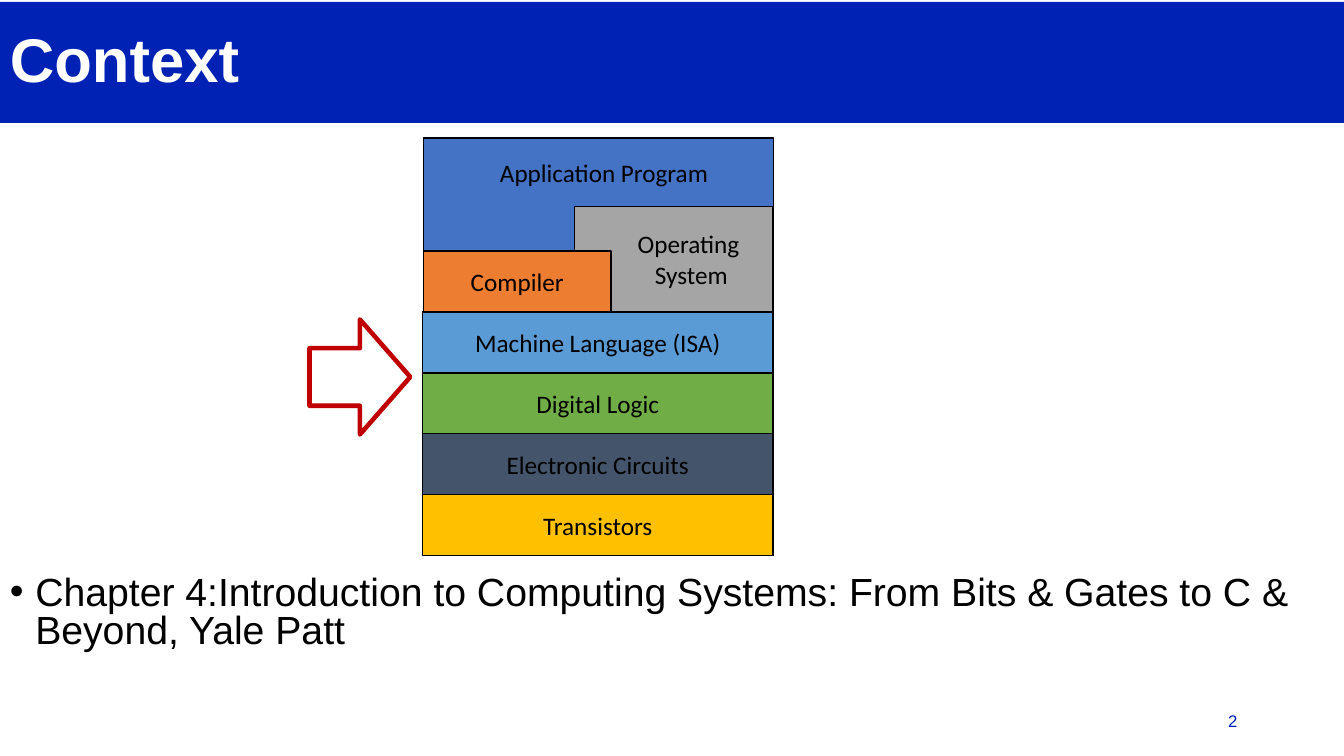
from lxml import etree
from pptx import Presentation
from pptx.dml.color import RGBColor
from pptx.enum.shapes import MSO_SHAPE
from pptx.enum.text import MSO_ANCHOR, PP_ALIGN
from pptx.oxml.ns import qn
from pptx.util import Cm, Pt

RECTANGLE, RIGHT_ARROW = MSO_SHAPE.RECTANGLE, MSO_SHAPE.RIGHT_ARROW
TOP, MIDDLE = MSO_ANCHOR.TOP, MSO_ANCHOR.MIDDLE
LEFT, CENTER, RIGHT = PP_ALIGN.LEFT, PP_ALIGN.CENTER, PP_ALIGN.RIGHT

COLORS = {
    "banner": "0022B4", "white": "FFFFFF", "black": "000000",
    "application": "4472C4", "system": "A5A5A5", "compiler": "ED7D31",
    "isa": "5B9BD5", "logic": "70AD47", "circuits": "44546A",
    "transistors": "FFC000", "arrow": "C00000",
}
LAYERS = [
    ("Machine Language (ISA)", "isa"),
    ("Digital Logic", "logic"),
    ("Electronic Circuits", "circuits"),
    ("Transistors", "transistors"),
]


def rgb(name):
    return RGBColor.from_string(COLORS[name])


def write(shape, text, size, font="Calibri", color="black", bold=False,
          align=CENTER, anchor=MIDDLE, wrap=True):
    frame = shape.text_frame
    frame.text = text
    frame.word_wrap = wrap
    frame.vertical_anchor = anchor
    for paragraph in frame.paragraphs:
        paragraph.alignment = align
        for run in paragraph.runs:
            run.font.name = font
            run.font.size = Pt(size)
            run.font.bold = bold
            run.font.color.rgb = rgb(color)
    return frame.paragraphs[0]


def add_block(shapes, box, fill=None, line=None, width=1, kind=RECTANGLE):
    """Add a preset shape; box is left, top, width, height in cm."""
    block = shapes.add_shape(kind, *map(Cm, box))
    block.shadow.inherit = False
    if fill:
        block.fill.solid()
        block.fill.fore_color.rgb = rgb(fill)
    else:
        block.fill.background()
    if line:
        block.line.color.rgb = rgb(line)
        block.line.width = Pt(width)
    else:
        block.line.fill.background()
    return block


def add_label(shapes, box, text, size, **style):
    return write(shapes.add_textbox(*map(Cm, box)), text, size, **style)


def add_banner(slide, box):
    banner = add_block(slide.shapes, box, "banner")
    title = write(banner, "Context", 44, "Arial", "white", True, LEFT)
    title.line_spacing = 0.9


def add_reference(slide, box):
    reference = add_label(
        slide.shapes, box,
        "Chapter 4:Introduction to Computing Systems: "
        "From Bits & Gates to C & Beyond, Yale Patt",
        28, font="Arial", align=LEFT, anchor=TOP)
    reference.line_spacing = 0.8
    properties = reference._p.get_or_add_pPr()
    indent = Cm(0.64)
    properties.set("marL", str(indent))
    properties.set("indent", str(-indent))
    etree.SubElement(properties, qn("a:buFont")).set("typeface", "Arial")
    etree.SubElement(properties, qn("a:buChar")).set("char", "•")


def add_stack(slide, box):
    """Draw the levels of abstraction, from programs down to transistors."""
    left, top, width, height = box
    layer = 1.535
    layers_top = top + height - len(LAYERS) * layer
    shapes = slide.shapes.add_group_shape().shapes

    add_block(shapes, (left + 0.02, top, width, height), "application", "black")
    for row, (text, fill) in enumerate(LAYERS):
        level = add_block(shapes, (left, layers_top + row * layer, width, layer),
                          fill, "black")
        write(level, text, 18)

    system_width, system_height = 5, 2.65
    add_block(shapes, (left + width - system_width, layers_top - system_height,
                       system_width, system_height), "system", "black")
    compiler = add_block(shapes, (left + 0.02, layers_top - layer, 4.73, layer),
                         "compiler", "black")
    write(compiler, "Compiler", 18)

    add_label(shapes, (left + 1.7, top + 0.36, 5.82, 1.02),
              "Application Program", 18, align=LEFT, anchor=TOP, wrap=False)
    add_label(shapes, (left + 5.15, top + 2.16, 3.25, 1.8),
              "Operating \nSystem", 18, anchor=TOP, wrap=False)


def add_pointer(slide, box):
    add_block(slide.shapes, box, line="arrow", width=3.25, kind=RIGHT_ARROW)


def add_page_number(slide, box):
    add_label(slide.shapes, box, "2 ", 12, font="Arial", color="banner", align=RIGHT)


def main():
    deck = Presentation()
    deck.slide_width, deck.slide_height = Cm(33.87), Cm(19.05)
    slide = deck.slides.add_slide(deck.slide_layouts[6])
    add_banner(slide, (0, 0.05, 33.87, 3.05))
    add_reference(slide, (0, 14.4, 33.87, 3))
    add_page_number(slide, (23.93, 17.65, 7.62, 1.02))
    add_stack(slide, (10.65, 3.48, 8.83, 10.52))
    add_pointer(slide, (7.8, 8.05, 2.54, 2.9))
    deck.save("out.pptx")


if __name__ == "__main__":
    main()
